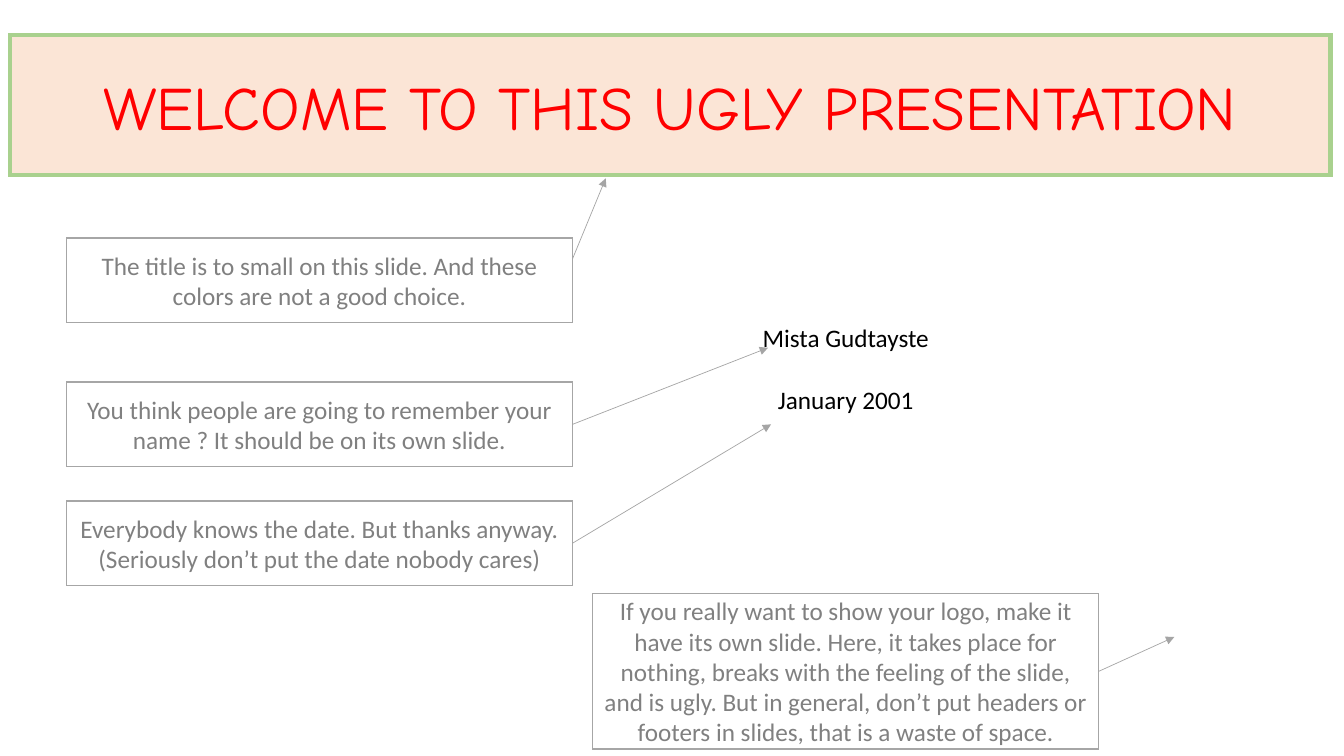
from lxml.etree import SubElement
from pptx import Presentation
from pptx.dml.color import RGBColor
from pptx.enum.shapes import MSO_CONNECTOR, MSO_SHAPE
from pptx.enum.text import MSO_ANCHOR, PP_ALIGN
from pptx.oxml.ns import qn
from pptx.util import Pt

NOTE_WIDTH = 361.4
NOTE_LEFT = 47.5

# text, box (left, top, width, height), arrow start as share of height, arrow tip
NOTES = [
    ("The title is to small on this slide. And these colors are not a good choice.",
     (NOTE_LEFT, 169.9, NOTE_WIDTH, 60.5), 0.25, (432.7, 127.4)),
    ("You think people are going to remember your name ? It should be on its own slide.",
     (NOTE_LEFT, 272.9, NOTE_WIDTH, 60.5), 0.5, (548.6, 248.4)),
    ("Everybody knows the date. But thanks anyway. "
     "(Seriously don’t put the date nobody cares)",
     (NOTE_LEFT, 357.8, NOTE_WIDTH, 60.5), 0.5, (550.8, 303.1)),
    ("If you really want to show your logo, make it have its own slide. Here, it takes "
     "place for nothing, breaks with the feeling of the slide, and is ugly. But in general, "
     "don’t put headers or footers in slides, that is a waste of space.",
     (423.4, 424.1, NOTE_WIDTH, 110.9), 0.5, (838.8, 455)),
]


def color(hex_string):
    return RGBColor.from_string(hex_string)


def write(holder, *lines, size=18, font="Calibri", ink="000000", gap=0):
    """Fill a shape with centred paragraphs, separated by gap points."""
    frame = holder.text_frame
    frame.word_wrap = True
    frame.vertical_anchor = MSO_ANCHOR.MIDDLE
    for index, line in enumerate(lines):
        paragraph = frame.add_paragraph() if index else frame.paragraphs[0]
        paragraph.alignment = PP_ALIGN.CENTER
        paragraph.space_before = Pt(gap if index else 0)
        run = paragraph.add_run()
        run.text = line
        run.font.size = Pt(size)
        run.font.name = font
        run.font.color.rgb = color(ink)


def add_box(slide, box, outline, weight, fill=None):
    panel = slide.shapes.add_shape(MSO_SHAPE.RECTANGLE, *map(Pt, box))
    panel.shadow.inherit = False
    if fill:
        panel.fill.solid()
        panel.fill.fore_color.rgb = color(fill)
    else:
        panel.fill.background()
    panel.line.color.rgb = color(outline)
    panel.line.width = Pt(weight)
    # Square corners
    SubElement(panel.get_or_add_ln(), qn("a:miter"), lim="800000")
    return panel


def add_arrow(slide, start, tip):
    arrow = slide.shapes.add_connector(MSO_CONNECTOR.STRAIGHT, *map(Pt, start + tip))
    arrow.line.color.rgb = color("A5A5A5")
    arrow.line.width = Pt(0.5)
    SubElement(arrow.get_or_add_ln(), qn("a:tailEnd"), type="triangle")
    SubElement(arrow.element.spPr, qn("a:effectLst"))


def title_banner(slide, box):
    banner = add_box(slide, box, "A9D18E", 3, fill="FBE5D6")
    write(banner, "WELCOME TO THIS UGLY PRESENTATION",
          size=44, font="Comic Neue", ink="FF0000")


def author_and_date(slide, box):
    byline = slide.shapes.add_textbox(*map(Pt, box))
    write(byline, "Mista Gudtayste", "January 2001", gap=22)


def critique_note(slide, box, text, start_share, tip):
    left, top, width, height = box
    write(add_box(slide, box, "A6A6A6", 1), text, ink="808080")
    add_arrow(slide, (left + width, top + height * start_share), tip)


presentation = Presentation()
presentation.slide_width = Pt(960)
presentation.slide_height = Pt(540)
welcome = presentation.slides.add_slide(presentation.slide_layouts[6])

title_banner(welcome, (7.2, 25.2, 943.2, 100.1))
author_and_date(welcome, (449.3, 216.7, 309.6, 92.9))
for text, box, start_share, tip in NOTES:
    critique_note(welcome, box, text, start_share, tip)

presentation.save("out.pptx")
